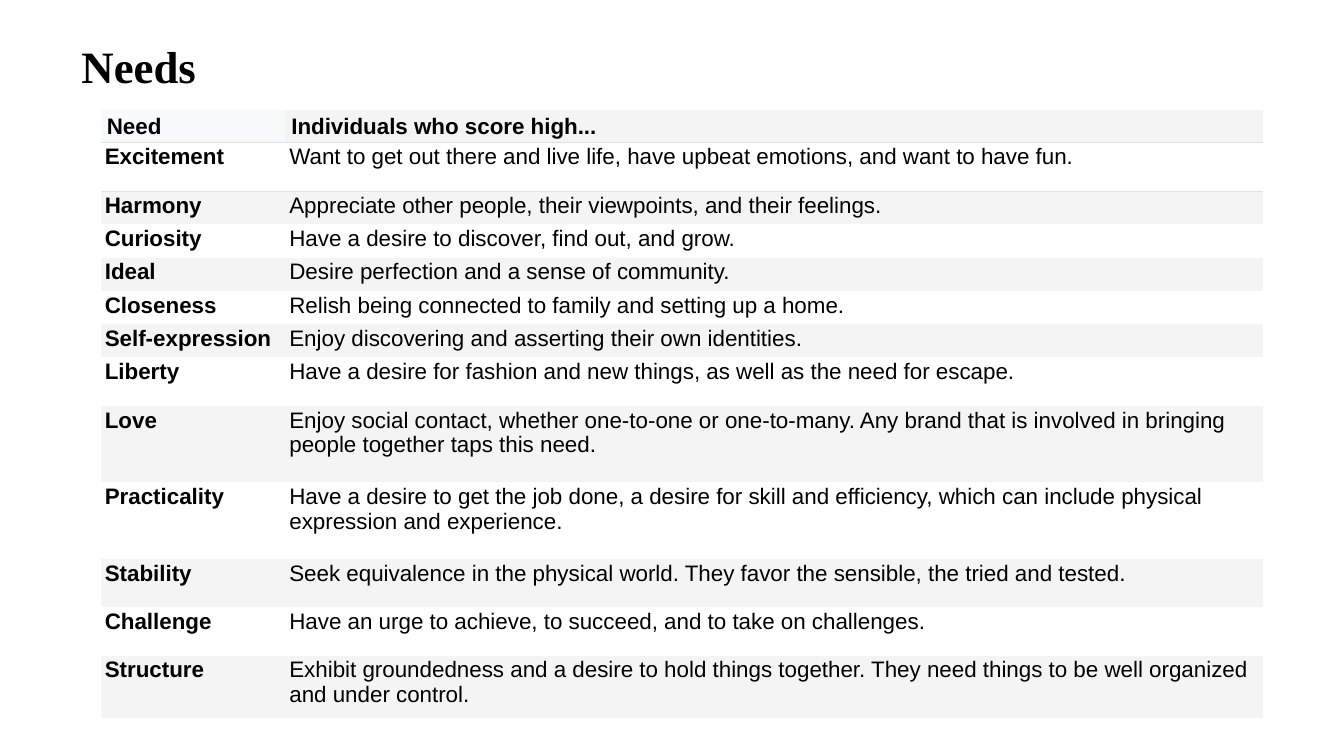
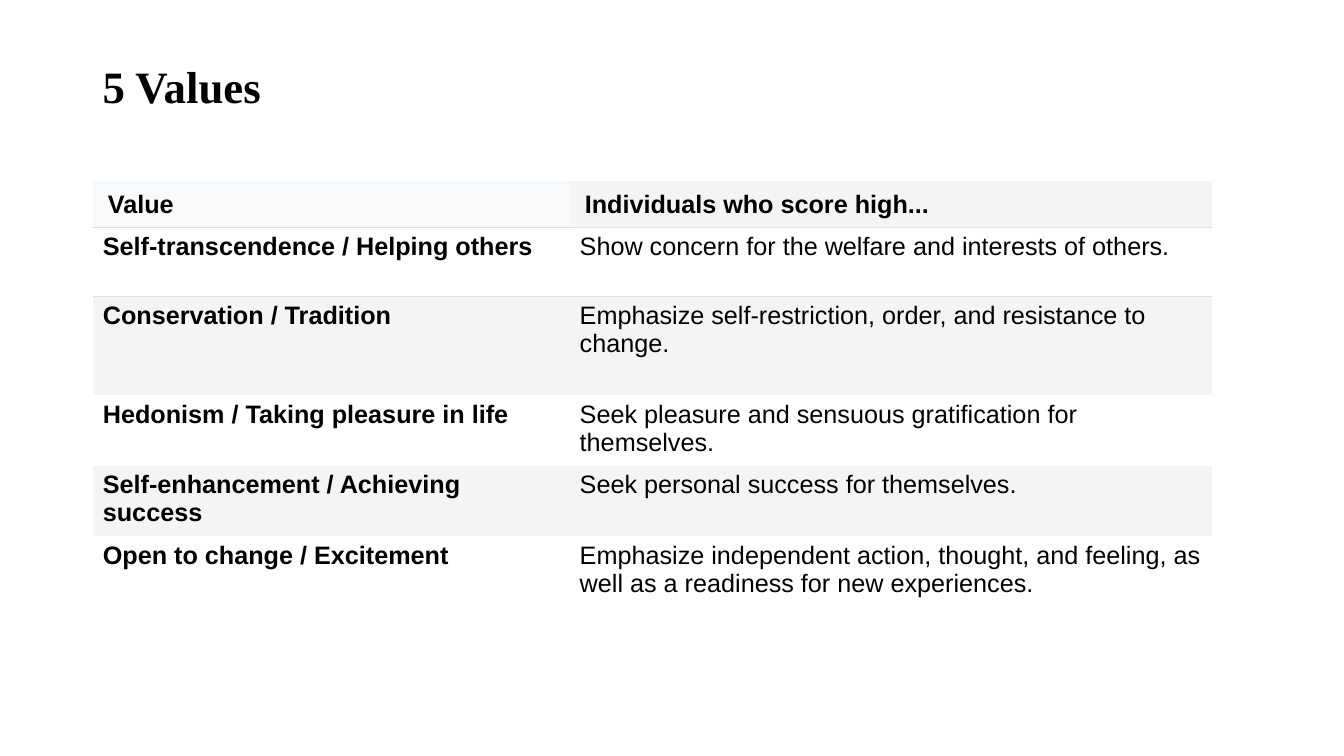
from lxml.etree import SubElement
from pptx import Presentation
from pptx.dml.color import RGBColor
from pptx.enum.text import MSO_ANCHOR
from pptx.oxml import parse_xml
from pptx.oxml.ns import nsdecls, qn
from pptx.util import Inches, Pt

COLORS = {
    "text": "000000",
    "paper": "FFFFFF",
    "band": "F4F4F4",
    "corner": "F7F9FA",
    "rule": "E0E0E0",
}
PLAIN_TABLE = "{2D5ABB26-0587-4C30-8999-92F81FD0307C}"
SCORE_HEADING = "Individuals who score high..."

NEEDS = [
    ("Excitement", "Want to get out there and live life, have upbeat emotions, and want to have fun.", 0.48),
    ("Harmony", "Appreciate other people, their viewpoints, and their feelings.", 0.33),
    ("Curiosity", "Have a desire to discover, find out, and grow.", 0.33),
    ("Ideal", "Desire perfection and a sense of community.", 0.33),
    ("Closeness", "Relish being connected to family and setting up a home.", 0.33),
    ("Self-expression", "Enjoy discovering and asserting their own identities.", 0.33),
    ("Liberty", "Have a desire for fashion and new things, as well as the need for escape.", 0.48),
    ("Love", "Enjoy social contact, whether one-to-one or one-to-many. Any brand that is involved "
     "in bringing people together taps this need.", 0.76),
    ("Practicality", "Have a desire to get the job done, a desire for skill and efficiency, "
     "which can include physical expression and experience.", 0.76),
    ("Stability", "Seek equivalence in the physical world. They favor the sensible, "
     "the tried and tested.", 0.48),
    ("Challenge", "Have an urge to achieve, to succeed, and to take on challenges.", 0.48),
    ("Structure", "Exhibit groundedness and a desire to hold things together. They need things "
     "to be well organized and under control.", 0.62),
]

VALUES = [
    ("Self-transcendence / Helping others", "Show concern for the welfare and interests of others.", 0.68),
    ("Conservation / Tradition", "Emphasize self-restriction, order, and resistance to change.", 0.98),
    ("Hedonism / Taking pleasure in life", "Seek pleasure and sensuous gratification for themselves.", 0.68),
    ("Self-enhancement / Achieving success", "Seek personal success for themselves.", 0.68),
    ("Open to change / Excitement", "Emphasize independent action, thought, and feeling, as well as "
     "a readiness for new experiences.", 1.27),
]


class Deck:
    title_font, title_size = "Times New Roman", 32
    body_font = "Arial"
    header_inset_ratio = 1.5

    def __init__(self):
        self.presentation = Presentation()
        self.presentation.slide_width = Inches(13.33)
        self.presentation.slide_height = Inches(7.5)
        self.slide = None

    def new_slide(self):
        self.slide = self.presentation.slides.add_slide(self.presentation.slide_layouts[6])

    def style(self, paragraph, font_name, size, bold):
        for run in paragraph.runs:
            run.font.name = font_name
            run.font.size = Pt(size)
            run.font.bold = bold
            run.font.color.rgb = RGBColor.from_string(COLORS["text"])

    def title(self, text, left, top, height):
        frame = self.slide.shapes.add_textbox(
            Inches(left), Inches(top), Inches(11.5), Inches(height)).text_frame
        frame.word_wrap = True
        frame.vertical_anchor = MSO_ANCHOR.MIDDLE
        frame.text = text
        heading = frame.paragraphs[0]
        heading.line_spacing = 0.9
        self.style(heading, self.title_font, self.title_size, True)

    def rule(self, cell, side):
        line = parse_xml(f'<a:{side} {nsdecls("a")} w="{Pt(0.75)}"/>')
        fill = SubElement(line, qn("a:solidFill"))
        SubElement(fill, qn("a:srgbClr"), val=COLORS["rule"])
        cell._tc.get_or_add_tcPr().insert(0, line)

    def cell(self, cell, text, fill, size, bold, inset):
        cell.text = text
        cell.fill.solid()
        cell.fill.fore_color.rgb = RGBColor.from_string(COLORS[fill])
        cell.margin_left = cell.margin_right = Inches(inset)
        cell.margin_top = cell.margin_bottom = Inches(inset / 2)
        self.style(cell.text_frame.paragraphs[0], self.body_font, size, bold)

    def table(self, topic, entries, left, top, widths, header_height, size, inset):
        rows = [(topic, SCORE_HEADING, header_height), *entries]
        heights = [row[-1] for row in rows]
        table = self.slide.shapes.add_table(
            len(rows), len(widths), Inches(left), Inches(top),
            Inches(sum(widths)), Inches(sum(heights))).table
        table.first_row = table.horz_banding = False
        table._tbl.tblPr.find(qn("a:tableStyleId")).text = PLAIN_TABLE
        for column, width in zip(table.columns, widths):
            column.width = Inches(width)
        for r, (*texts, height) in enumerate(rows):
            table.rows[r].height = Inches(height)
            is_header = r == 0
            for c, text in enumerate(texts):
                cell = table.cell(r, c)
                fill = "band" if r % 2 == 0 else "paper"
                if is_header and c == 0:
                    fill = "corner"
                cell_inset = inset * self.header_inset_ratio if is_header else inset
                self.cell(cell, text, fill, size, is_header or c == 0, cell_inset)
                if is_header:
                    cell.vertical_anchor = MSO_ANCHOR.MIDDLE
                    self.rule(cell, "lnB")
                elif r == 1:
                    self.rule(cell, "lnT")


def main():
    deck = Deck()

    deck.new_slide()
    deck.title("Needs", 0.71, 0.28, 0.81)
    deck.table("Need", NEEDS, 1, 1.09, (1.83, 9.7), header_height=0.31, size=16, inset=0.04)

    deck.new_slide()
    deck.title("5 Values", 0.92, 0.4, 0.96)
    deck.table("Value", VALUES, 0.92, 1.8, (4.73, 6.37), header_height=0.46, size=18, inset=0.1)

    deck.presentation.save("out.pptx")


if __name__ == "__main__":
    main()
